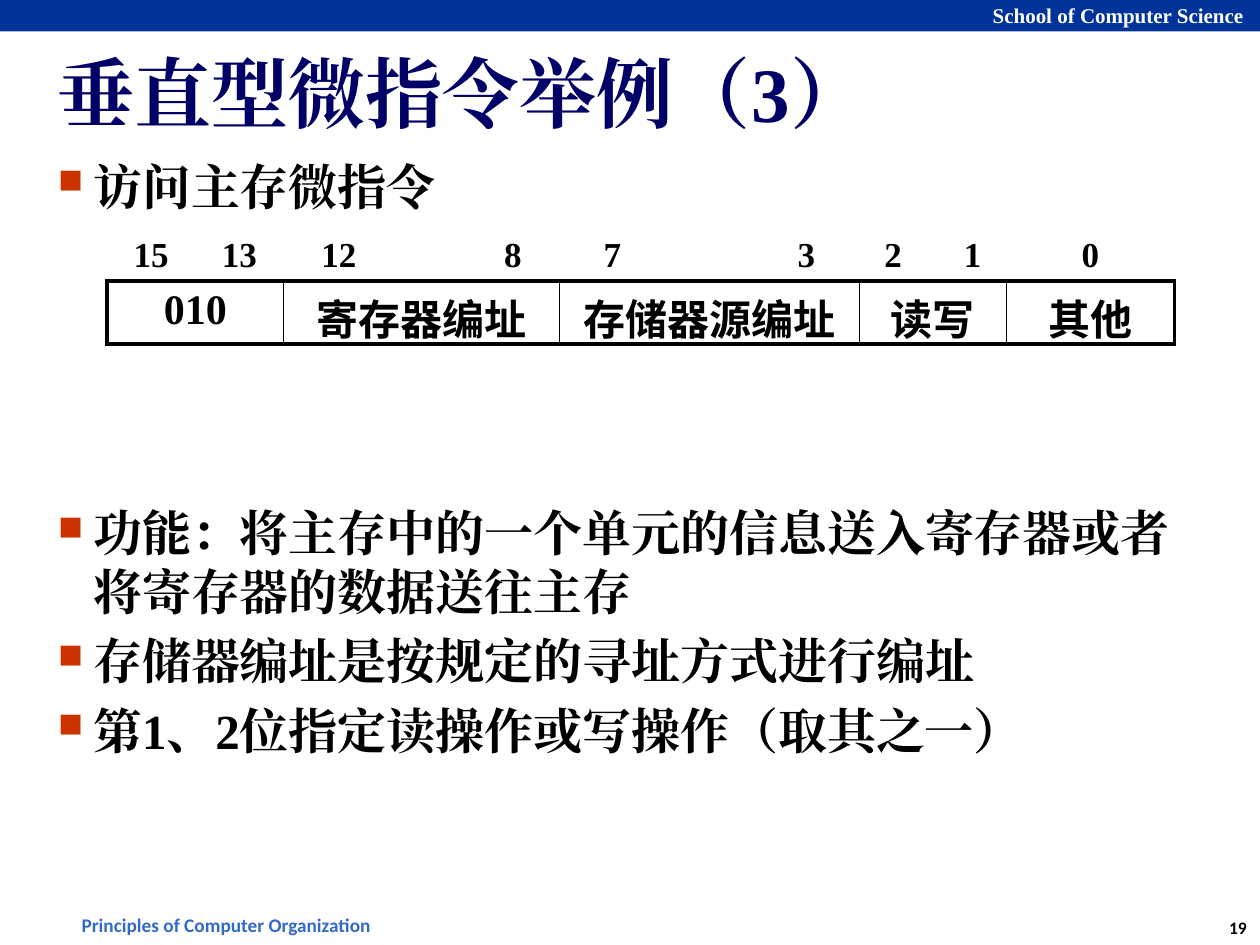
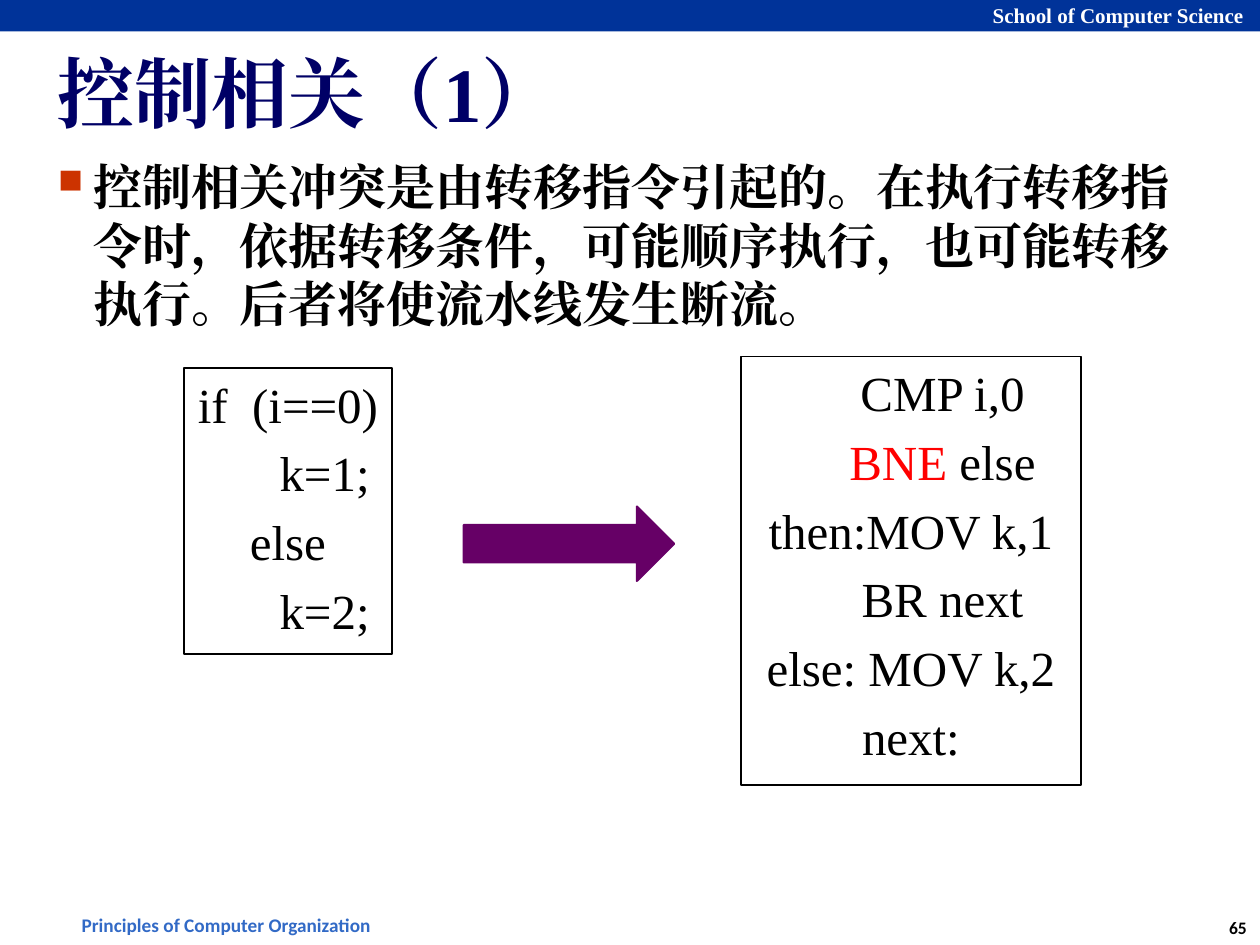
from lxml.etree import SubElement
from pptx import Presentation
from pptx.dml.color import RGBColor
from pptx.enum.shapes import MSO_SHAPE
from pptx.enum.text import MSO_ANCHOR, PP_ALIGN
from pptx.oxml import parse_xml
from pptx.oxml.ns import nsdecls, qn
from pptx.util import Emu, Inches, Pt

# Content
SCHOOL = "School of Computer Science"
COURSE = "Principles of Computer Organization"

MEMORY = {
    "title": "垂直型微指令举例（3）",
    "number": "19",
    "heading": ["访问主存微指令"],
    "points": [
        "功能：将主存中的一个单元的信息送入寄存器或者将寄存器的数据送往主存",
        "存储器编址是按规定的寻址方式进行编址",
        "第1、2位指定读操作或写操作（取其之一）",
    ],
}
# Instruction fields: bit numbers, label, column width, inset of the bit numbers
FIELDS = [
    (("15", "13"), "010", 1.4, 0.21),
    (("12", "8"), "寄存器编址", 2.19, 0.3),
    (("7", "3"), "存储器源编址", 2.38, 0.35),
    (("2", "1"), "读写", 1.17, 0.2),
    (("0",), "其他", 1.33, 0.1),
]

CONTROL = {
    "title": "控制相关（1）",
    "number": "65",
    "points": [
        "控制相关冲突是由转移指令引起的。在执行转移指令时，依据转移条件，"
        "可能顺序执行，也可能转移执行。后者将使流水线发生断流。",
    ],
}
# Code lines are lists of (text, colour) pieces
SOURCE_CODE = [[(line, "black")] for line in
               ("if  (i==0)", "      k=1;", "else", "      k=2;")]
ASSEMBLY = [
    [("\tCMP i,0", "black")],
    [("\t", "black"), ("BNE", "red"), (" else", "black")],
    [("then:MOV k,1", "black")],
    [("\tBR next", "black")],
    [("else: MOV k,2", "black")],
    [("next:", "black")],
]

# Shared style
COLORS = {
    "band": "003399", "title": "000066", "footer": "326AC6", "bullet": "CC3300",
    "arrow": "660066", "red": "FF0000", "black": "000000", "white": "FFFFFF",
}
SERIF, SANS, CJK = "Times New Roman", "Calibri", "Noto Sans CJK SC"
PLAIN_TABLE = "{2D5ABB26-0587-4C30-8999-92F81FD0307C}"
THICK, THIN = 2.25, 1


def rgb(name):
    return RGBColor.from_string(COLORS[name])


def style_run(run, size, color="black", font=SERIF, bold=True, east_asian=None):
    run.font.size, run.font.bold, run.font.name = Pt(size), bold, font
    run.font.color.rgb = rgb(color)
    SubElement(run.font._element, qn("a:ea"), typeface=east_asian or font)


def add_label(slide, box, lines, size, color, font=SERIF, inset=None,
              wrap=False, align=PP_ALIGN.LEFT, anchor=MSO_ANCHOR.TOP):
    label = slide.shapes.add_textbox(*map(Inches, box))
    frame = label.text_frame
    frame.word_wrap, frame.vertical_anchor = wrap, anchor
    if inset is not None:
        frame.margin_left = frame.margin_right = Inches(inset)
        frame.margin_top = frame.margin_bottom = Inches(inset)
    frame.text = "\n".join(lines)
    for paragraph in frame.paragraphs:
        paragraph.alignment = align
        style_run(paragraph.runs[0], size, color, font)
    return frame


def add_bullets(slide, top, height, points):
    frame = add_label(slide, (0.42, top, 9.17, height), points, 28, "black",
                      inset=0.04, wrap=True)
    for index, paragraph in enumerate(frame.paragraphs):
        if index:
            paragraph.space_before = Pt(6)
        props = paragraph._p.get_or_add_pPr()
        props.set("marL", str(Inches(0.28)))
        props.set("indent", str(-Inches(0.28)))
        color = SubElement(props, qn("a:buClr"))
        SubElement(color, qn("a:srgbClr"), val=COLORS["bullet"])
        SubElement(props, qn("a:buSzPct"), val="70000")
        SubElement(props, qn("a:buChar"), char="■")


def add_preset(slide, kind, box, fill, line, width):
    shape = slide.shapes.add_shape(kind, *map(Inches, box))
    shape.shadow.inherit = False
    if fill:
        shape.fill.solid()
        shape.fill.fore_color.rgb = rgb(fill)
    else:
        shape.fill.background()
    if line:
        shape.line.color.rgb, shape.line.width = rgb(line), Pt(width)
    else:
        shape.line.fill.background()
    return shape


def add_base(deck, content):
    slide = deck.slides.add_slide(deck.slide_layouts[6])
    # Band, footer and page number
    add_preset(slide, MSO_SHAPE.RECTANGLE, (0, 0, 10, 0.25), "band", None, 0)
    add_label(slide, (7.78, -0.03, 2.21, 0.3), [SCHOOL], 12, "white")
    add_label(slide, (0.55, 7.2, 2.56, 0.29), [COURSE], 11, "footer", SANS)
    add_label(slide, (9.64, 7.23, 0.37, 0.27), [content["number"]], 10, "black",
              SANS, align=PP_ALIGN.CENTER)
    # Title
    add_label(slide, (0.42, 0.28, 9.17, 0.89), [content["title"]], 44, "title",
              inset=0.04, wrap=True, anchor=MSO_ANCHOR.MIDDLE)
    return slide


def set_borders(cell, left=0, right=0, top=0, bottom=0):
    props = cell._tc.get_or_add_tcPr()
    sides = zip("LRTB", (left, right, top, bottom))
    for index, (side, width) in enumerate(sides):
        paint = (f'<a:solidFill><a:srgbClr val="{COLORS["black"]}"/></a:solidFill>'
                 if width else "<a:noFill/>")
        props.insert(index, parse_xml(
            f'<a:ln{side} {nsdecls("a")} w="{Pt(width)}">{paint}</a:ln{side}>'))


def add_tab(paragraph, position, align):
    tabs = SubElement(paragraph._p.get_or_add_pPr(), qn("a:tabLst"))
    SubElement(tabs, qn("a:tab"), pos=str(Inches(position)), algn=align)


def add_field_table(slide):
    widths = [width for _, _, width, _ in FIELDS]
    frame = slide.shapes.add_table(2, len(FIELDS), Inches(0.85), Inches(1.73),
                                   Inches(sum(widths)), Inches(1))
    table = frame.table
    table.first_row = table.horz_banding = False
    table._tbl.tblPr.find(qn("a:tableStyleId")).text = PLAIN_TABLE
    table.rows[0].height, table.rows[1].height = Inches(0.5), Inches(0.49)
    last = len(FIELDS) - 1
    for column, (bits, name, width, inset) in enumerate(FIELDS):
        table.columns[column].width = Inches(width)
        bit_cell, name_cell = (table.cell(row, column) for row in (0, 1))
        for cell, text in ((bit_cell, "\t".join(bits)), (name_cell, name)):
            cell.fill.background()
            cell.text_frame.text = text
            cell.text_frame.paragraphs[0].alignment = PP_ALIGN.CENTER
        # Bit numbers stand at equal distances from both ends of the field
        bit_cell.vertical_anchor = MSO_ANCHOR.BOTTOM
        bit_line = bit_cell.text_frame.paragraphs[0]
        if len(bits) == 2:
            bit_cell.margin_left = Inches(inset)
            bit_line.alignment = PP_ALIGN.LEFT
            add_tab(bit_line, width - 2 * inset, "r")
        style_run(bit_line.runs[0], 20)
        style_run(name_cell.text_frame.paragraphs[0].runs[0], 24, east_asian=CJK)
        set_borders(bit_cell, bottom=THICK)
        set_borders(name_cell, THIN if column else THICK,
                    THICK if column == last else THIN, THICK, THICK)


def add_code(slide, box, lines):
    frame = add_preset(slide, MSO_SHAPE.RECTANGLE, box, None, "black", 1).text_frame
    frame.word_wrap, frame.vertical_anchor = False, MSO_ANCHOR.TOP
    for index, pieces in enumerate(lines):
        paragraph = frame.add_paragraph() if index else frame.paragraphs[0]
        paragraph.alignment = PP_ALIGN.CENTER
        if index:
            paragraph.space_before = Pt(5.6)
        for text, color in pieces:
            run = paragraph.add_run()
            run.text = text
            style_run(run, 28, color, bold=False)


def main():
    deck = Presentation()
    deck.slide_width, deck.slide_height = Inches(10), Inches(7.5)

    # Memory access microinstruction
    slide = add_base(deck, MEMORY)
    add_bullets(slide, 1.2, 0.55, MEMORY["heading"])
    add_field_table(slide)
    add_bullets(slide, 3.95, 2.97, MEMORY["points"])

    # Control dependence
    slide = add_base(deck, CONTROL)
    add_bullets(slide, 1.2, 1.6, CONTROL["points"])
    add_code(slide, (1.46, 2.92, 1.65, 2.27), SOURCE_CODE)
    add_code(slide, (5.88, 2.83, 2.7, 3.4), ASSEMBLY)
    add_preset(slide, MSO_SHAPE.RIGHT_ARROW, (3.68, 4.02, 1.67, 0.59),
               "arrow", "arrow", 1.25)

    deck.save("out.pptx")


if __name__ == "__main__":
    main()
